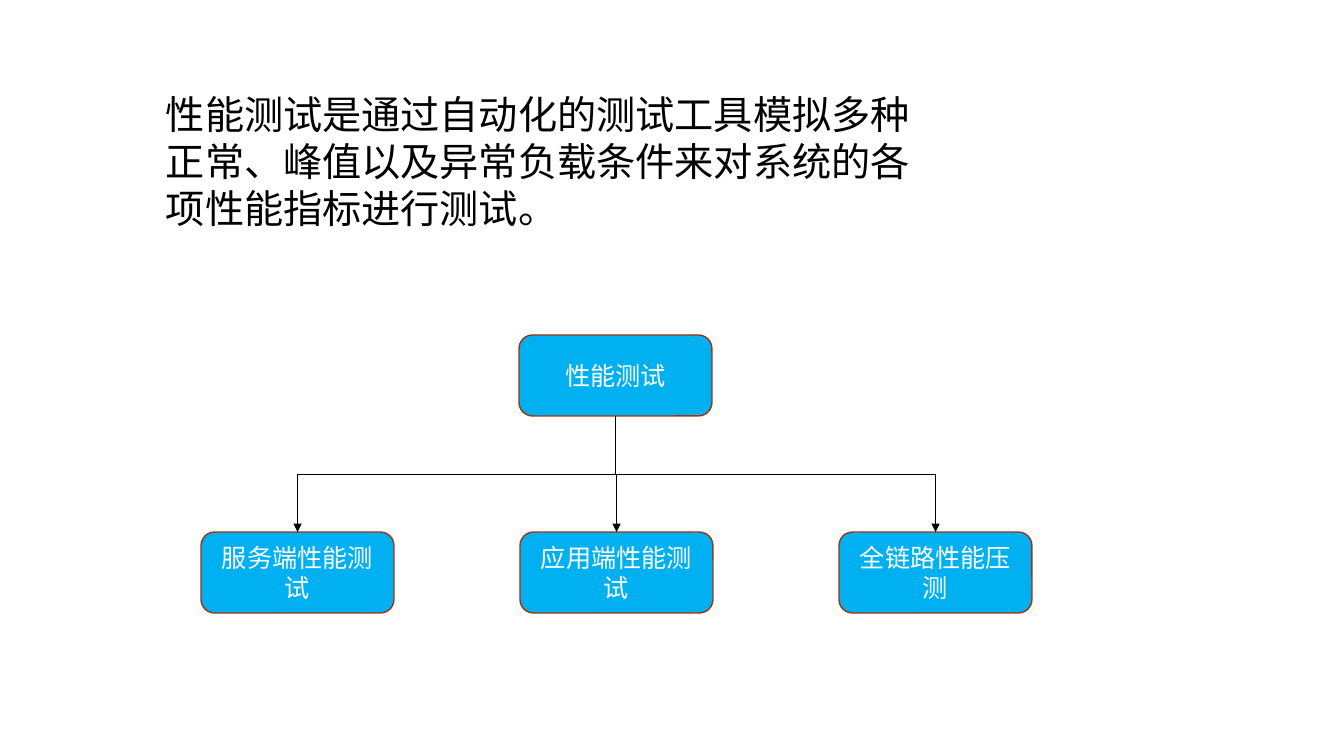
from lxml import etree
from pptx import Presentation
from pptx.dml.color import RGBColor
from pptx.enum.shapes import MSO_CONNECTOR, MSO_SHAPE
from pptx.enum.text import MSO_ANCHOR, PP_ALIGN
from pptx.oxml.ns import qn
from pptx.util import Pt

ELBOW = MSO_CONNECTOR.ELBOW
ROUNDED = MSO_SHAPE.ROUNDED_RECTANGLE
MIDDLE, TOP = MSO_ANCHOR.MIDDLE, MSO_ANCHOR.TOP
CENTER, LEFT = PP_ALIGN.CENTER, PP_ALIGN.LEFT

EMU_PER_PX = 914400 / 100.8
COLORS = {"node": "00B0F0", "border": "9C3511", "label": "FFFFFF", "ink": "000000"}
CJK_FONT, BODY_FONT = "Noto Sans CJK SC", "TeX Gyre Bonum"
BODY_FORMAT = {"name": BODY_FONT, "size": Pt(28)}
NODE_FORMAT = {"name": CJK_FONT, "size": Pt(18)}
TOP_SITE, BOTTOM_SITE = 0, 2

DEFINITION = "性能测试是通过自动化的测试工具模拟多种正常、峰值以及异常负载条件来对系统的各项性能指标进行测试。"
ROOT = "性能测试"
BRANCHES = ["服务端性能测试", "应用端性能测试", "全链路性能压测"]


def px(value):
    return round(value * EMU_PER_PX)


def color(name):
    return RGBColor.from_string(COLORS[name])


def write(shape, text, font_format, color_name, align, anchor):
    frame = shape.text_frame
    frame.word_wrap = True
    frame.vertical_anchor = anchor
    para = frame.paragraphs[0]
    para.alignment = align
    span = para.add_run()
    span.text = text
    for name, value in font_format.items():
        setattr(span.font, name, value)
    span.font.color.rgb = color(color_name)
    east_asian = etree.SubElement(span.font._element, qn("a:ea"))
    east_asian.set("typeface", CJK_FONT)


def add_definition(page, box):
    shape = page.shapes.add_textbox(*map(px, box))
    write(shape, DEFINITION, BODY_FORMAT, "ink", LEFT, TOP)


def add_node(page, box, text):
    node = page.shapes.add_shape(ROUNDED, *map(px, box))
    node.shadow.inherit = False
    node.fill.solid()
    node.fill.fore_color.rgb = color("node")
    node.line.color.rgb = color("border")
    node.line.width = Pt(1)
    write(node, text, NODE_FORMAT, "label", CENTER, MIDDLE)
    return node


def add_branch_arrow(page, parent, child):
    arrow = page.shapes.add_connector(ELBOW, 0, 0, 0, 0)
    arrow.begin_connect(parent, BOTTOM_SITE)
    arrow.end_connect(child, TOP_SITE)
    # Turn the elbow so that it leaves downwards: its box is laid on its side
    run, drop = arrow.end_x - arrow.begin_x, arrow.end_y - arrow.begin_y
    center_x = (arrow.begin_x + arrow.end_x) // 2
    center_y = (arrow.begin_y + arrow.end_y) // 2
    arrow.left, arrow.top = center_x - drop // 2, center_y - abs(run) // 2
    arrow.width, arrow.height = drop, abs(run)
    properties = arrow._element.spPr
    transform = properties.find(qn("a:xfrm"))
    transform.set("rot", str((270 if run > 0 else 90) * 60000))
    transform.set("flipH", "1" if run > 0 else "0")
    # Line and arrowhead
    arrow.line.color.rgb = color("ink")
    arrow.line.width = Pt(0.5)
    head = etree.SubElement(arrow.line._get_or_add_ln(), qn("a:tailEnd"))
    head.set("type", "triangle")
    etree.SubElement(properties, qn("a:effectLst"))


def add_tree(page, box):
    left, top, width, height = box
    node_width, node_height = 193, 81
    root_left = left + (width - node_width) // 2 - 1
    root = add_node(page, (root_left, top, node_width, node_height), ROOT)
    step = (width - node_width) / (len(BRANCHES) - 1)
    branch_top = top + height - node_height
    children = [
        add_node(page, (left + index * step, branch_top, node_width, node_height), text)
        for index, text in enumerate(BRANCHES)
    ]
    for child in children:
        add_branch_arrow(page, root, child)


def main():
    deck = Presentation()
    deck.slide_width, deck.slide_height = px(1344), px(756)
    page = deck.slides.add_slide(deck.slide_layouts[6])
    add_tree(page, (201, 335, 831, 278))
    add_definition(page, (156, 85, 794, 152))
    deck.save("out.pptx")


if __name__ == "__main__":
    main()
